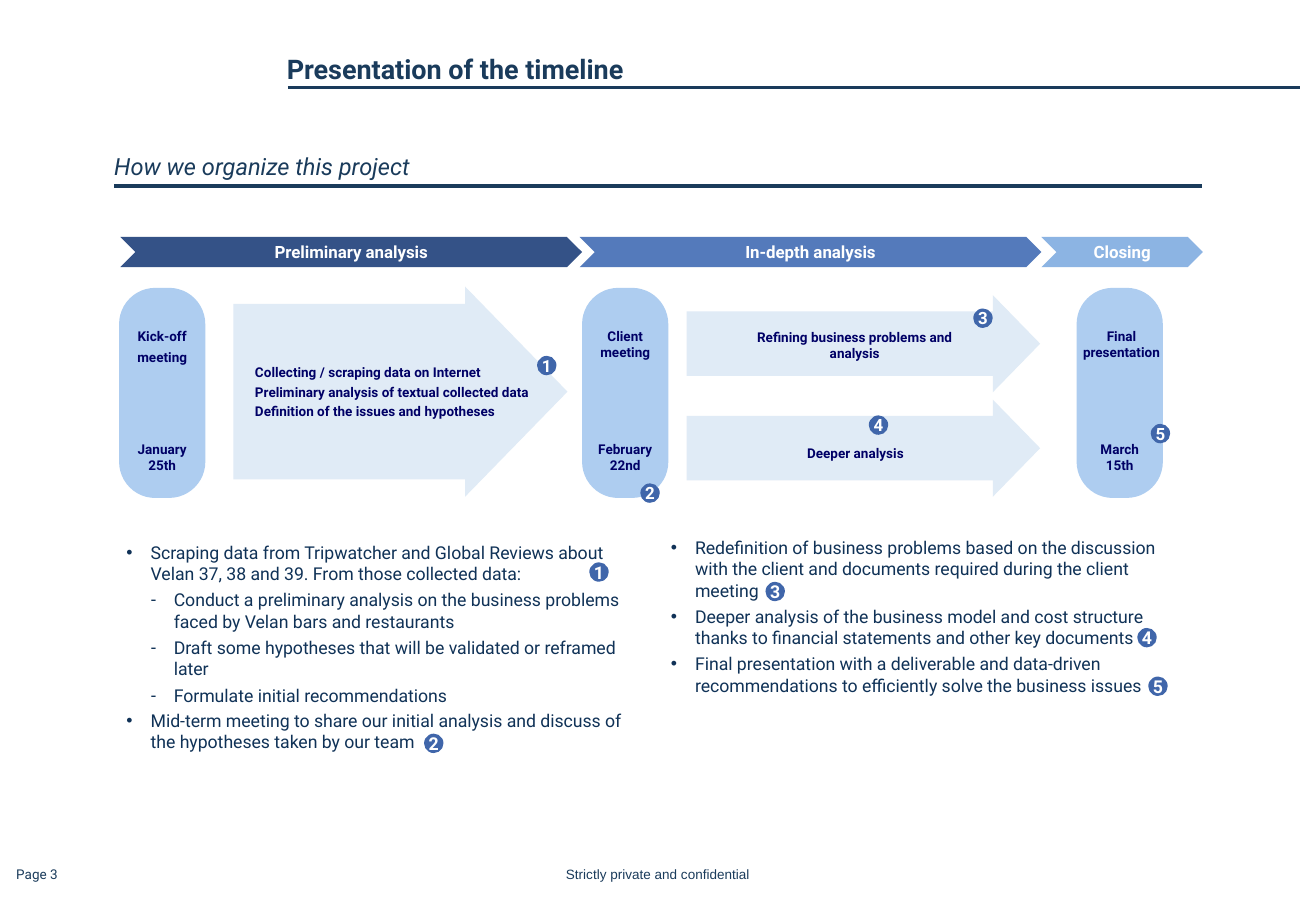
"""Build the project timeline slide."""
from lxml import etree
from pptx import Presentation
from pptx.dml.color import RGBColor
from pptx.enum.shapes import MSO_CONNECTOR, MSO_SHAPE
from pptx.enum.text import MSO_ANCHOR, MSO_AUTO_SIZE, PP_ALIGN
from pptx.oxml.ns import qn
from pptx.util import Pt

PX = 9144
NAVY = RGBColor(0x1A, 0x3B, 0x5B)
LIST_BLUE = RGBColor(0x10, 0x32, 0x57)
LABEL_BLUE = RGBColor(0x00, 0x00, 0x66)
BADGE_BLUE = RGBColor(0x40, 0x66, 0xAA)
PILL_BLUE = RGBColor(0xAE, 0xCD, 0xF0)
ARROW_BLUE = RGBColor(0xE0, 0xEB, 0xF6)
DARK_PHASE = RGBColor(0x34, 0x52, 0x87)
MEDIUM_PHASE = RGBColor(0x54, 0x7A, 0xBB)
LIGHT_PHASE = RGBColor(0x8C, 0xB4, 0xE3)
WHITE = RGBColor(0xFF, 0xFF, 0xFF)
LEFT, CENTER = PP_ALIGN.LEFT, PP_ALIGN.CENTER
TOP, MIDDLE = MSO_ANCHOR.TOP, MSO_ANCHOR.MIDDLE
NO_AUTOFIT = MSO_AUTO_SIZE.NONE
STRAIGHT = MSO_CONNECTOR.STRAIGHT
CHEVRON, RIGHT_ARROW = MSO_SHAPE.CHEVRON, MSO_SHAPE.RIGHT_ARROW
PILL, CIRCLE = MSO_SHAPE.ROUNDED_RECTANGLE, MSO_SHAPE.OVAL
COMPARISON_LAYOUT = 4
BADGE_SIZE = 16
BULLET, DASH = ("•", 20, 20), ("-", 39, 19)

PHASES = [
    ("Preliminary analysis", 99, 380, DARK_PHASE),
    ("In-depth analysis", 477, 380, MEDIUM_PHASE),
    ("Closing", 857, 133, LIGHT_PHASE),
]
MILESTONES = [
    (98, "Kick-off\nmeeting", "January 25th"),
    (479, "Client meeting", "February 22nd"),
    (886, "Final presentation", "March 15th"),
]
ARROWS = [
    ((192, 236, 275, 173), 0.836),
    ((565, 243, 291, 80), 0.663),
    ((565, 329, 291, 80), 0.663),
]
ARROW_TASKS = [
    ("Collecting / scraping data on Internet\n"
     "Preliminary analysis of textual collected data\n"
     "Definition of the issues and hypotheses", (200, 300, 271, 45), LEFT),
    ("Refining business problems and analysis", (592, 266, 223, 37), CENTER),
    ("Deeper analysis", (605, 361, 198, 24), CENTER),
]
TIMELINE_BADGES = [(1, 442, 293), (2, 527, 398), (3, 801, 254), (4, 715, 342), (5, 947, 349)]
LIST_BADGES = [(1, 485, 463), (2, 349, 604), (3, 630, 479), (4, 936, 517), (5, 945, 557)]
LISTS = [
    (2, (94, 441, 432, 141), [
        (BULLET, "Scraping data from Tripwatcher and Global Reviews about "
                 "Velan 37, 38 and 39. From those collected data:"),
        (DASH, "Conduct a preliminary analysis on the business problems "
               "faced by Velan bars and restaurants"),
        (DASH, "Draft some hypotheses that will be validated or reframed later"),
        (DASH, "Formulate initial recommendations"),
    ]),
    (3, (94, 579, 432, 141), [
        (BULLET, "Mid-term meeting to share our initial analysis and discuss of "
                 "the hypotheses taken by our team"),
    ]),
    (4, (542, 437, 448, 137), [
        (BULLET, "Redefinition of business problems based on the discussion with "
                 "the client and documents required during the client meeting"),
        (BULLET, "Deeper analysis of the business model and cost structure thanks "
                 "to financial statements and other key documents"),
        (BULLET, "Final presentation with a deliverable and data-driven "
                 "recommendations to efficiently solve the business issues"),
    ]),
]


def scaled(*lengths):
    """Turn px lengths into EMU."""
    return [length * PX for length in lengths]


def place(shape, box):
    """Move and size a shape."""
    shape.left, shape.top, shape.width, shape.height = scaled(*box)


def set_frame(text_frame, anchor, margins=(10, 5), wrap=True):
    """Set the anchor, insets and wrapping of a text frame."""
    text_frame.auto_size = NO_AUTOFIT
    text_frame.word_wrap = wrap
    text_frame.vertical_anchor = anchor
    side, edge = scaled(*margins)
    text_frame.margin_left = text_frame.margin_right = side
    text_frame.margin_top = text_frame.margin_bottom = edge


def style_text(text_frame, size, color, align=LEFT, bold=False, italic=False,
               after=0, face="Roboto"):
    """Format every paragraph and run of a text frame."""
    for paragraph in text_frame.paragraphs:
        paragraph.alignment = align
        paragraph.space_before = Pt(0)
        paragraph.space_after = Pt(after)
        for run in paragraph.runs:
            run.font.name = face
            run.font.size = Pt(size)
            run.font.bold = bold
            run.font.italic = italic
            run.font.color.rgb = color


def add_label(slide, text, box, anchor, margins=(10, 5), **style):
    """Add a text box."""
    text_frame = slide.shapes.add_textbox(*scaled(*box)).text_frame
    set_frame(text_frame, anchor, margins)
    text_frame.text = text
    style_text(text_frame, **style)


def add_filled(slide, kind, box, color, adjustments=()):
    """Add a flat preset shape without outline."""
    shape = slide.shapes.add_shape(kind, *scaled(*box))
    shape.shadow.inherit = False
    shape.fill.solid()
    shape.fill.fore_color.rgb = color
    shape.line.fill.background()
    for index, value in enumerate(adjustments):
        shape.adjustments[index] = value
    return shape


def add_captioned(slide, kind, box, color, text, size):
    """Add a filled shape with a white bold caption."""
    text_frame = add_filled(slide, kind, box, color).text_frame
    set_frame(text_frame, MIDDLE, (0, 0), wrap=False)
    text_frame.text = text
    style_text(text_frame, size, WHITE, CENTER, bold=True)


def add_rule(slide, left, right, top):
    """Add a horizontal navy line."""
    line = slide.shapes.add_connector(STRAIGHT, *scaled(left, top, right, top))
    line.line.color.rgb = NAVY
    line.line.width = Pt(2)
    etree.SubElement(line._element.spPr, qn("a:effectLst"))


def add_milestone(slide, left, name, date):
    """Add a pill with a meeting name and its date."""
    add_filled(slide, PILL, (left, 237, 71, 173), PILL_BLUE, [0.42])
    for text, top in ((name, 265), (date, 358)):
        add_label(slide, text, (left - 15, top, 104, 37) if "Final" in text
                  else (left, top, 71, 37), TOP,
                  size=8, color=LABEL_BLUE, align=CENTER, bold=True, after=3)


def fill_heading(shape, text, box, margins, **style):
    """Fill a heading placeholder."""
    place(shape, box)
    set_frame(shape.text_frame, MIDDLE, margins)
    shape.text_frame.text = text
    style_text(shape.text_frame, color=NAVY, **style)


def fill_list(shape, box, items):
    """Fill a body placeholder with bulleted items."""
    place(shape, box)
    text_frame = shape.text_frame
    set_frame(text_frame, TOP)
    text_frame.text = "\n".join(text for _, text in items)
    for paragraph, ((mark, indent, hanging), _) in zip(text_frame.paragraphs, items):
        properties = paragraph._p.get_or_add_pPr()
        properties.set("marL", str(indent * PX))
        properties.set("indent", str(-hanging * PX))
        etree.SubElement(properties, qn("a:buChar"), char=mark)
    style_text(text_frame, 10.5, LIST_BLUE, after=3)


def main():
    """Build and save the slide."""
    presentation = Presentation()
    presentation.slide_width, presentation.slide_height = scaled(1083, 750)
    slide = presentation.slides.add_slide(presentation.slide_layouts[COMPARISON_LAYOUT])
    title, subtitle = slide.shapes.title, slide.placeholders[1]
    fill_heading(title, "Presentation of the timeline", (236, 39, 819, 31), (0, 0),
                 size=16, bold=True, after=10)
    title.text_frame.paragraphs[0].line_spacing = 1.15
    fill_heading(subtitle, "How we organize this project", (94, 121, 895, 31), (0, 5),
                 size=14, italic=True, after=3)
    add_rule(slide, 237, 1070, 72)
    add_rule(slide, 94, 989, 153)
    for text, left, width, color in PHASES:
        add_captioned(slide, CHEVRON, (left, 195, width, 25), color, text, 10)
    for left, name, date in MILESTONES:
        add_milestone(slide, left, name, date)
    for box, shaft in ARROWS:
        add_filled(slide, RIGHT_ARROW, box, ARROW_BLUE, [shaft, 0.487])
    for text, box, align in ARROW_TASKS:
        add_label(slide, text, box, MIDDLE, size=8, color=LABEL_BLUE, align=align,
                  bold=True, after=2 if align == LEFT else 0)
    for index, box, items in LISTS:
        fill_list(slide.placeholders[index], box, items)
    for badges, size in ((TIMELINE_BADGES, 10), (LIST_BADGES, 10.5)):
        for number, left, top in badges:
            add_captioned(slide, CIRCLE, (left, top, BADGE_SIZE, BADGE_SIZE),
                          BADGE_BLUE, str(number), size)
    add_label(slide, "Page 3", (3, 708, 55, 24), MIDDLE, (4, 5),
              size=8, color=NAVY, align=CENTER)
    add_label(slide, "Strictly private and confidential", (443, 708, 197, 24), MIDDLE,
              size=8, color=NAVY, align=CENTER, face="Arial")
    presentation.save("out.pptx")


if __name__ == "__main__":
    main()
